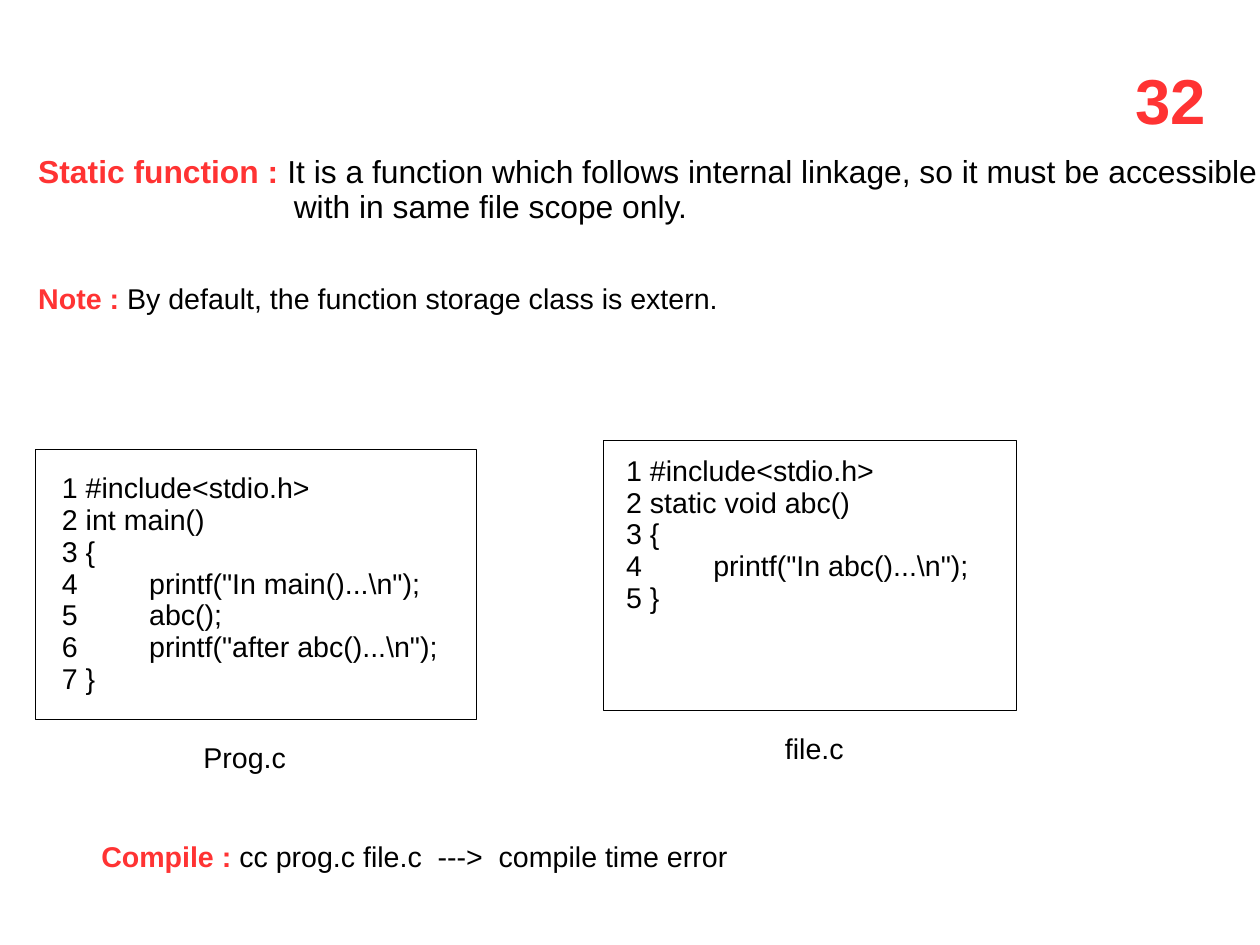
from pptx import Presentation
from pptx.dml.color import RGBColor
from pptx.enum.shapes import MSO_SHAPE as SHAPE
from pptx.enum.text import MSO_ANCHOR as ANCHOR, PP_ALIGN as ALIGN
from pptx.util import Pt

RED = RGBColor(0xFF, 0x33, 0x33)
BLACK = RGBColor(0, 0, 0)
WHITE = RGBColor(0xFF, 0xFF, 0xFF)
FONT = "Arial"
LINE_SPACING = 0.93
BODY_SIZE = 18

PROG_C = [
    "#include<stdio.h>",
    "int main()",
    "{",
    '        printf("In main()...\\n");',
    "        abc();",
    '        printf("after abc()...\\n");',
    "}",
]
FILE_C = [
    "#include<stdio.h>",
    "static void abc()",
    "{",
    '        printf("In abc()...\\n");',
    "}",
]


def format_run(r, size, color=BLACK, bold=False):
    r.font.name = FONT
    r.font.size = Pt(size)
    r.font.bold = bold
    r.font.color.rgb = color


def add_run(p, text, *style):
    r = p.add_run()
    r.text = text
    format_run(r, *style)


def add_text(s, x, y, w, h, text="", term="", size=BODY_SIZE):
    """Add a text box: a bold red term, then plain black text."""
    tf = s.shapes.add_textbox(Pt(x), Pt(y), Pt(w), Pt(h)).text_frame
    tf.word_wrap = False
    tf.margin_right = 0
    p = tf.paragraphs[0]
    p.line_spacing = LINE_SPACING
    if term:
        add_run(p, term, size, RED, True)
    if text:
        add_run(p, text, size)
    return tf


def add_indented_line(tf, text, size, indent):
    p = tf.add_paragraph()
    p.line_spacing = LINE_SPACING
    pPr = p._p.get_or_add_pPr()
    pPr.set("marL", str(Pt(indent)))
    pPr.set("indent", "0")
    add_run(p, text, size)


def add_code_box(s, x, y, w, h, lines, inset_left, inset_top):
    """Add a framed listing with numbered lines."""
    sp = s.shapes.add_shape(SHAPE.RECTANGLE, Pt(x), Pt(y), Pt(w), Pt(h))
    sp.shadow.inherit = False
    sp.fill.solid()
    sp.fill.fore_color.rgb = WHITE
    sp.line.color.rgb = BLACK
    sp.line.width = Pt(0.75)
    tf = sp.text_frame
    tf.word_wrap = True
    tf.vertical_anchor = ANCHOR.TOP
    tf.margin_left, tf.margin_top = Pt(inset_left), Pt(inset_top)
    tf.text = "\n".join(f"{n} {line}" for n, line in enumerate(lines, 1))
    for p in tf.paragraphs:
        p.alignment = ALIGN.LEFT
        p.line_spacing = LINE_SPACING
        for r in p.runs:
            format_run(r, BODY_SIZE)


def main():
    prs = Presentation()
    prs.slide_width, prs.slide_height = Pt(793.7), Pt(595.28)
    s = prs.slides.add_slide(prs.slide_layouts[6])

    # Page number
    add_text(s, 708.2, 39.2, 58.3, 55.4, term="32", size=40)

    # Definition and note
    definition = add_text(
        s, 17, 94, 776, 53.3,
        "It is a function which follows internal linkage, so it must be accessible",
        term="Static function : ", size=20)
    add_indented_line(definition, "with in same file scope only.", 20, 161)
    add_text(s, 17, 175.4, 442, 28.8,
             "By default, the function storage class is extern.", term="Note : ")

    # Source files with their names
    add_code_box(s, 22.3, 283.4, 278, 170, PROG_C, 16.7, 14.4)
    add_text(s, 121, 464.4, 66.2, 28.8, "Prog.c")
    add_code_box(s, 379.9, 277.6, 260.6, 170, FILE_C, 14.5, 9.4)
    add_text(s, 487.4, 458.6, 51.1, 28.8, "file.c")

    # Compile result
    add_text(s, 56.7, 527, 409, 28.8,
             " cc prog.c file.c  --->  compile time error", term="Compile :")

    prs.save("out.pptx")


if __name__ == "__main__":
    main()
